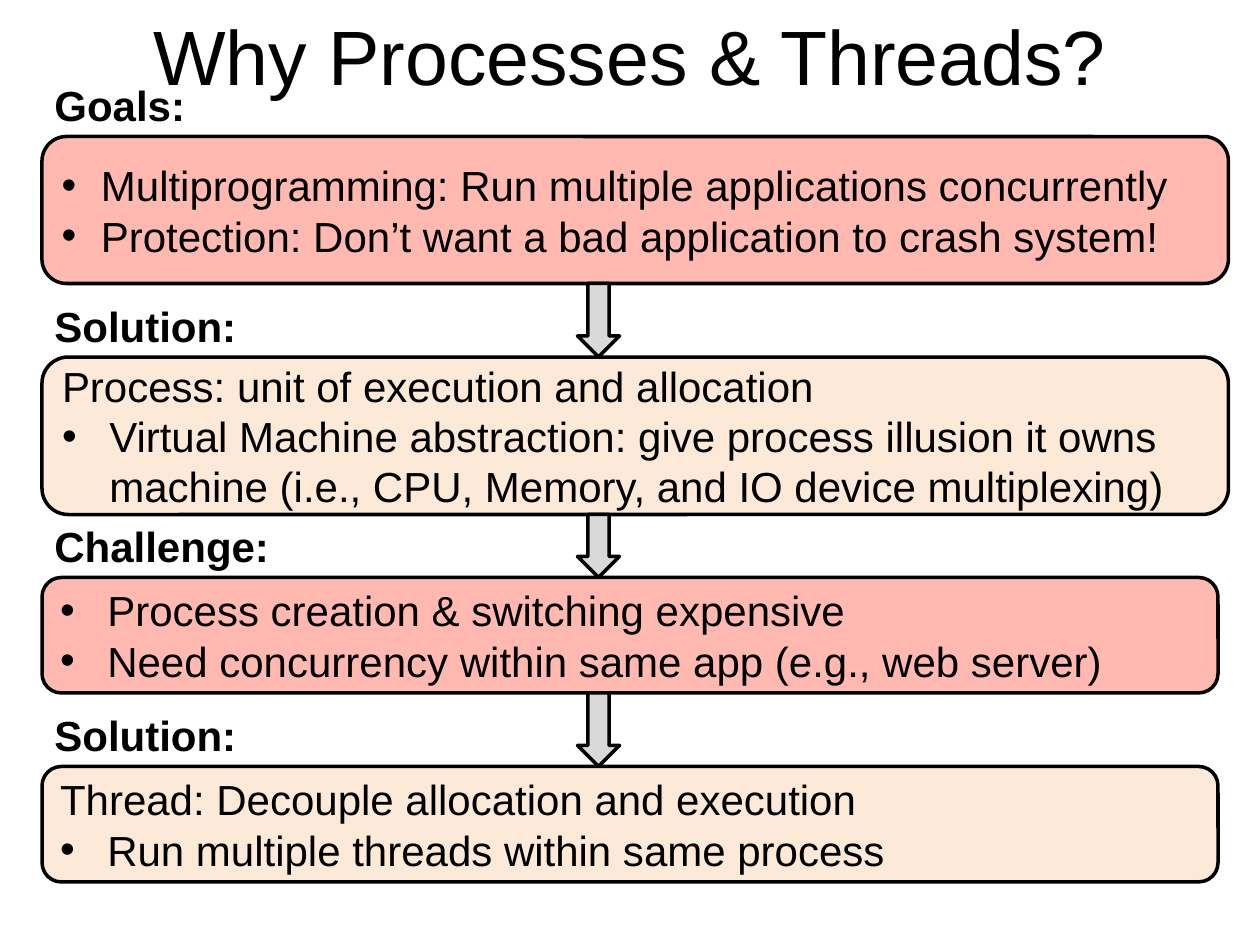
from pptx import Presentation
from pptx.dml.color import RGBColor
from pptx.enum import shapes, text
from pptx.oxml.ns import qn
from pptx.util import Pt
from lxml import etree

BLACK = RGBColor(0, 0, 0)
PINK = RGBColor(0xFF, 0xB9, 0xB0)
CREAM = RGBColor(0xFD, 0xE9, 0xD8)
GRAY = RGBColor(0xD9, 0xD9, 0xD9)
LEFT, LABEL_H = 24, 36
ARROW_LEFT, ARROW_W = 330, 24


def add_box(kind, left, top, width, height, fill):
    sp = s.shapes.add_shape(kind, Pt(left), Pt(top), Pt(width), Pt(height))
    sp.shadow.inherit = False
    sp.fill.solid()
    sp.fill.fore_color.rgb = fill
    sp.line.color.rgb = BLACK
    sp.line.width = Pt(2)
    return sp


def format_par(p, size, bold=False, align=text.PP_ALIGN.LEFT, indent=0):
    p.alignment = align
    for r in p.runs:
        r.font.name = "Arial"
        r.font.size = Pt(size)
        r.font.bold = bold
        r.font.color.rgb = BLACK
    if indent:
        pPr = p._p.get_or_add_pPr()
        pPr.set("marL", str(Pt(indent)))
        pPr.set("indent", str(-Pt(indent)))
        etree.SubElement(pPr, qn("a:buFont")).set("typeface", "Arial")
        etree.SubElement(pPr, qn("a:buChar")).set("char", "•")


prs = Presentation()
prs.slide_width, prs.slide_height = Pt(720), Pt(540)
s = prs.slides.add_slide(prs.slide_layouts[5])

title = s.shapes.title
title.left, title.top, title.width, title.height = Pt(36), Pt(-13.5), Pt(648), Pt(90)
tf = title.text_frame
tf.text = "Why Processes & Threads?"
tf.auto_size = text.MSO_AUTO_SIZE.NONE
tf.vertical_anchor = text.MSO_ANCHOR.MIDDLE
format_par(tf.paragraphs[0], 44, align=text.PP_ALIGN.CENTER)

steps = [
    ("Goals:", 90, 78, 678, 84, PINK, 22.5, [
        ("Multiprogramming: Run multiple applications concurrently", True),
        ("Protection: Don’t want a bad application to crash system!", True)]),
    ("Solution:", 120, 204, 678, 90, CREAM, 27, [
        ("Process: unit of execution and allocation", False),
        ("Virtual Machine abstraction: give process illusion it owns machine "
         "(i.e., CPU, Memory, and IO device multiplexing)", True)]),
    ("Challenge:", 138, 330, 672, 66, PINK, 27, [
        ("Process creation & switching expensive", True),
        ("Need concurrency within same app (e.g., web server)", True)]),
    ("Solution:", 120, 438, 672, 66, CREAM, 27, [
        ("Thread: Decouple allocation and execution", False),
        ("Run multiple threads within same process", True)]),
]

bottom = None
for label, label_w, top, width, height, fill, indent, lines in steps:
    sp = add_box(shapes.MSO_SHAPE.ROUNDED_RECTANGLE, LEFT, top, width, height, fill)
    tf = sp.text_frame
    tf.word_wrap = True
    tf.vertical_anchor = text.MSO_ANCHOR.MIDDLE
    tf.text = "\n".join(line for line, _ in lines)
    for p, (_, bulleted) in zip(tf.paragraphs, lines):
        format_par(p, 24, indent=indent if bulleted else 0)

    tb = s.shapes.add_textbox(Pt(LEFT), Pt(top - LABEL_H), Pt(label_w), Pt(LABEL_H))
    tb.text_frame.word_wrap = True
    tb.text_frame.text = label
    format_par(tb.text_frame.paragraphs[0], 24, bold=True)

    if bottom is not None:
        add_box(shapes.MSO_SHAPE.DOWN_ARROW, ARROW_LEFT, bottom, ARROW_W, top - bottom, GRAY)
    bottom = top + height

prs.save("out.pptx")
